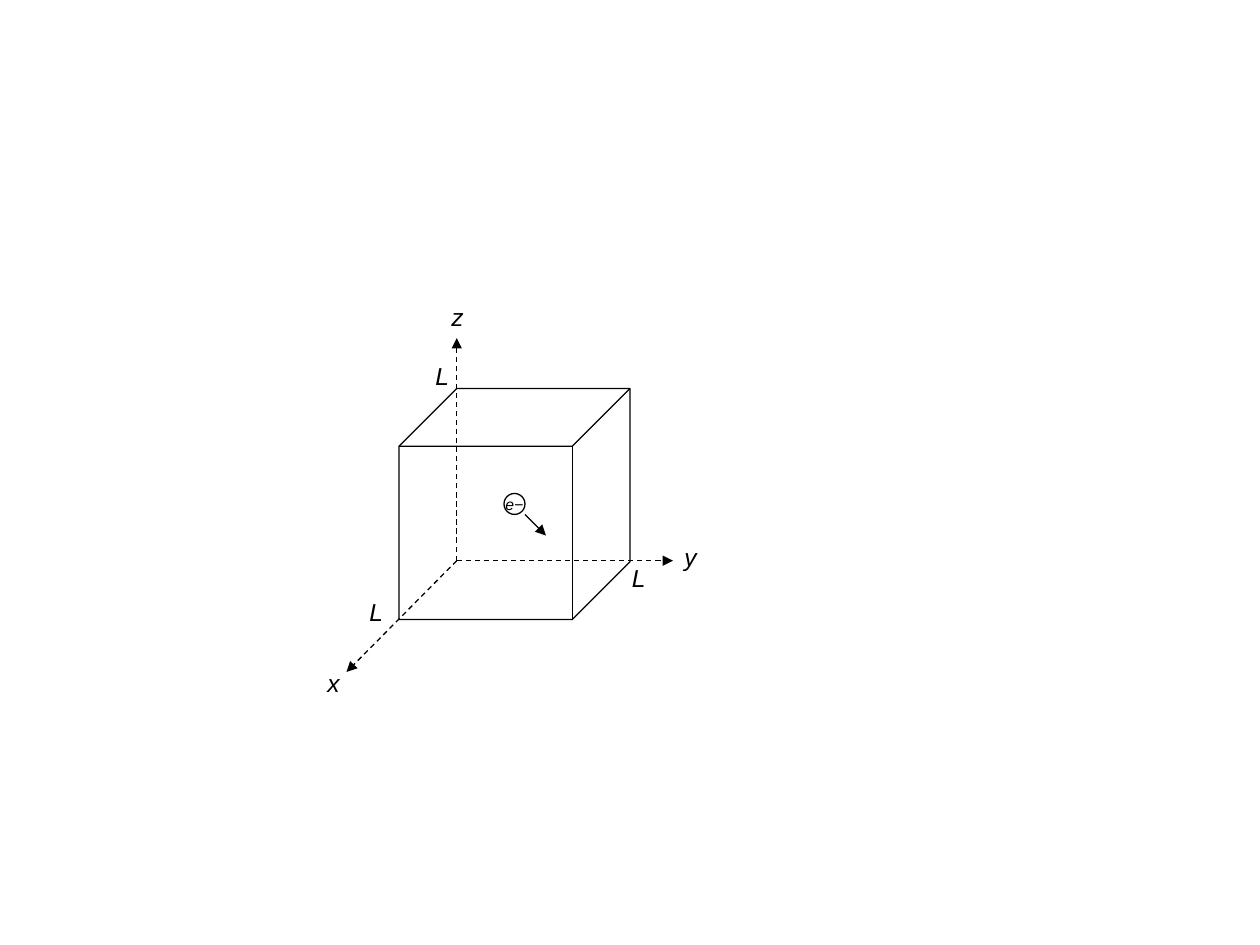
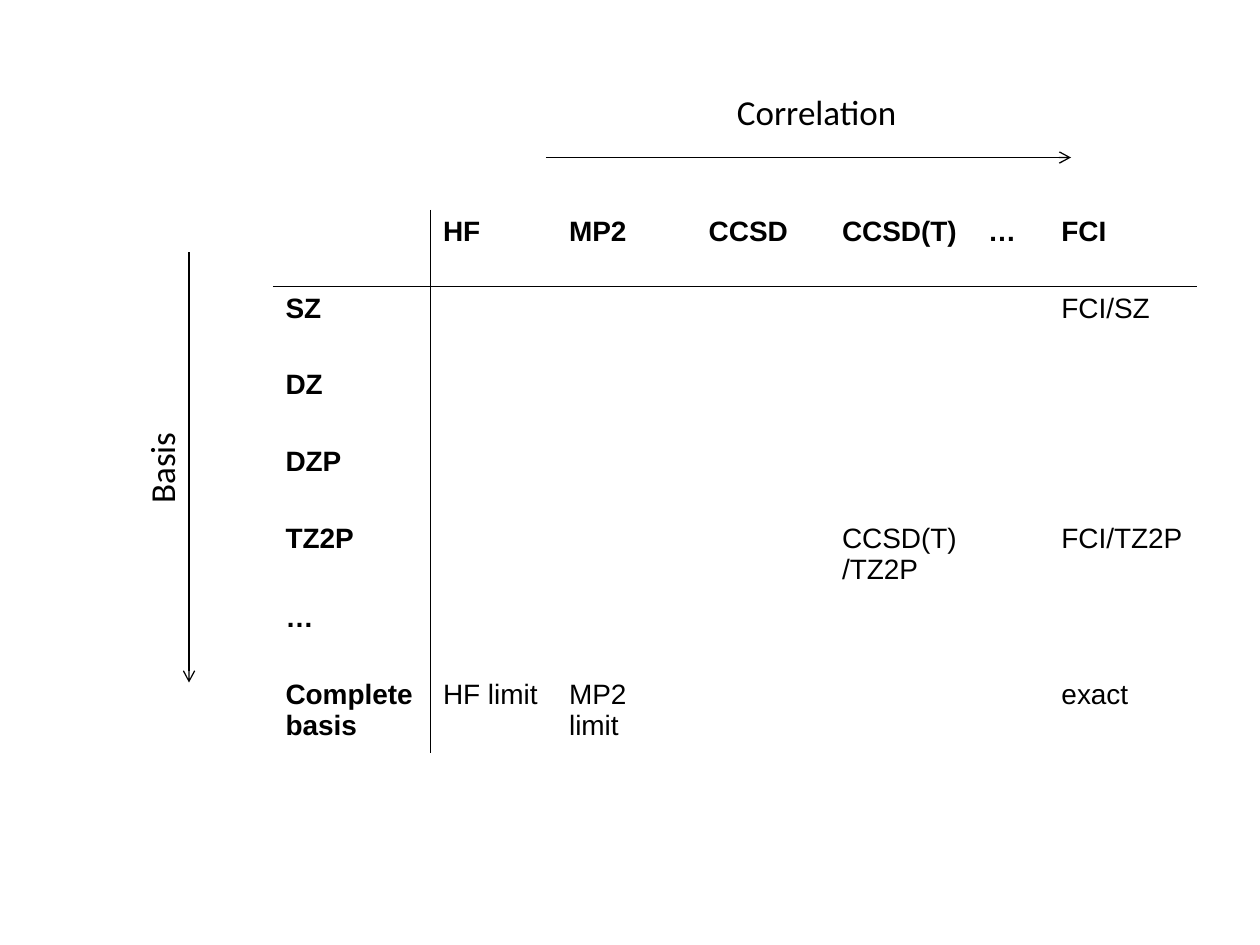
from dataclasses import dataclass

from lxml import etree
from pptx import Presentation
from pptx.dml.color import RGBColor
from pptx.enum.dml import MSO_LINE
from pptx.enum.shapes import MSO_CONNECTOR, MSO_SHAPE
from pptx.enum.text import MSO_ANCHOR, MSO_AUTO_SIZE, PP_ALIGN
from pptx.oxml.ns import qn
from pptx.util import Inches, Pt

DASH = MSO_LINE.DASH
STRAIGHT = MSO_CONNECTOR.STRAIGHT
CUBE, CIRCLE = MSO_SHAPE.CUBE, MSO_SHAPE.OVAL
MIDDLE, CENTER = MSO_ANCHOR.MIDDLE, PP_ALIGN.CENTER
GROW = MSO_AUTO_SIZE.SHAPE_TO_FIT_TEXT


@dataclass(frozen=True)
class Theme:
    ink: str = "000000"
    font: str = "Arial"
    heading_font: str = "Calibri"
    particle_size: int = 9
    axis_size: int = 14
    table_size: int = 16
    heading_size: int = 20
    line_width: float = 0.75
    rule_width: float = 1


def grid(units):
    """Turn grid units into a length; the page is 120 columns by 90 rows."""
    return Inches(units / 12)


def write(frame, text, size, font, color, bold=False, italic=False, align=None):
    para = frame.paragraphs[0]
    para.alignment = align
    span = para.add_run()
    span.text = text
    span.font.name, span.font.size = font, Pt(size)
    span.font.bold, span.font.italic = bold, italic
    span.font.color.rgb = RGBColor.from_string(color)


class Page:
    """Holds the theme and the slide being drawn; places are in grid units."""

    def __init__(self, deck, theme):
        self.theme = theme
        self.shapes = deck.slides.add_slide(deck.slide_layouts[6]).shapes

    def style_line(self, line):
        line.color.rgb = RGBColor.from_string(self.theme.ink)
        line.width = Pt(self.theme.line_width)

    def outline(self, kind, left, top, side):
        shape = self.shapes.add_shape(kind, *map(grid, (left, top, side, side)))
        shape.shadow.inherit = False
        shape.fill.background()
        self.style_line(shape.line)
        return shape

    def particle(self, text, left, top, side):
        frame = self.outline(CIRCLE, left, top, side).text_frame
        frame.word_wrap = False
        frame.vertical_anchor = MIDDLE
        frame.margin_left = frame.margin_right = 0
        frame.margin_top = frame.margin_bottom = 0
        write(frame, text, self.theme.particle_size, self.theme.font,
              self.theme.ink, italic=True, align=CENTER)

    def arrow(self, start, end, head="triangle", dash=None):
        connector = self.shapes.add_connector(STRAIGHT, *map(grid, (*start, *end)))
        self.style_line(connector.line)
        connector.line.dash_style = dash
        properties = connector._element.spPr
        etree.SubElement(properties.find(qn("a:ln")), qn("a:tailEnd"), type=head)
        etree.SubElement(properties, qn("a:effectLst"))

    def text(self, text, left, top, width, height, rotation=0, **style):
        box = self.shapes.add_textbox(*map(grid, (left, top, width, height)))
        box.rotation = rotation
        box.text_frame.word_wrap = False
        box.text_frame.auto_size = GROW
        write(box.text_frame, text, color=self.theme.ink, **style)

    def axis_label(self, text, left, top):
        self.text(text, left, top, 3.6, 4, size=self.theme.axis_size,
                  font=self.theme.font, italic=True)

    def heading(self, text, left, top, width, rotation=0):
        self.text(text, left, top, width, 5.3, rotation,
                  size=self.theme.heading_size, font=self.theme.heading_font)

    def cell_borders(self, cell, ruled_sides):
        """Rule the named sides (L, R, T, B) and clear the others."""
        properties = cell._tc.get_or_add_tcPr()
        for side in "LRTB":
            line = etree.SubElement(properties, qn(f"a:ln{side}"),
                                    w=str(Pt(self.theme.rule_width)))
            if side in ruled_sides:
                fill = etree.SubElement(line, qn("a:solidFill"))
                etree.SubElement(fill, qn("a:srgbClr"), val=self.theme.ink)
            else:
                etree.SubElement(line, qn("a:noFill"))

    def cross_table(self, left, top, columns, row_height, row_names, entries):
        """Draw a table ruled only below its head row and beside its first column."""
        names = [name for name, _ in columns]
        widths = [width for _, width in columns]
        rows = ["", *row_names]
        table = self.shapes.add_table(
            len(rows), len(names), grid(left), grid(top),
            grid(sum(widths)), grid(row_height * len(rows))).table
        table.first_row = table.horz_banding = False
        for column, width in zip(table.columns, widths):
            column.width = grid(width)
        for r, row_name in enumerate(rows):
            table.rows[r].height = grid(row_height)
            for c, column_name in enumerate(names):
                cell = table.cell(r, c)
                self.cell_borders(cell, {0: "R", 1: "L"}.get(c, "")
                                  + {0: "B", 1: "T"}.get(r, ""))
                cell.fill.background()
                is_head = r == 0 or c == 0
                text = (row_name or column_name if is_head
                        else entries.get((row_name, column_name)))
                if text:
                    write(cell.text_frame, text, self.theme.table_size,
                          self.theme.font, self.theme.ink, bold=is_head)


def draw_particle_in_box(page):
    origin = (43.5, 53.4)
    page.outline(CUBE, 38, 37, 22)
    for tip in ((43.5, 32.2), (64.1, 53.4), (33, 64)):
        page.arrow(origin, tip, dash=DASH)
    for name, left, top in (("z", 41.8, 28.2), ("x", 30, 63), ("y", 64, 51),
                            ("L", 34, 56.3), ("L", 40.3, 33.8), ("L", 59, 53)):
        page.axis_label(name, left, top)
    page.arrow((50, 49), (52, 51))
    page.particle("e−", 48, 47, 2)


def draw_method_table(page):
    page.arrow((18, 24), (18, 65), head="arrow")
    page.heading("Basis", 10.7, 41.8, 9.4, rotation=270)
    methods = [("", 15), ("HF", 12), ("MP2", 13.3), ("CCSD", 12.7),
               ("CCSD(T)", 13.9), ("…", 7), ("FCI", 14.1)]
    bases = ["SZ", "DZ", "DZP", "TZ2P", "…", "Complete basis"]
    page.cross_table(26, 20, methods, 7.3, bases, {
        ("SZ", "FCI"): "FCI/SZ",
        ("TZ2P", "CCSD(T)"): "CCSD(T)/TZ2P",
        ("TZ2P", "FCI"): "FCI/TZ2P",
        ("Complete basis", "HF"): "HF limit",
        ("Complete basis", "MP2"): "MP2 limit",
        ("Complete basis", "FCI"): "exact",
    })
    page.arrow((52, 15), (102, 15), head="arrow")
    page.heading("Correlation", 69, 8, 17.8)


def main():
    deck = Presentation()
    deck.slide_width, deck.slide_height = grid(120), grid(90)
    theme = Theme()
    for draw in (draw_particle_in_box, draw_method_table):
        draw(Page(deck, theme))
    deck.save("out.pptx")


if __name__ == "__main__":
    main()
